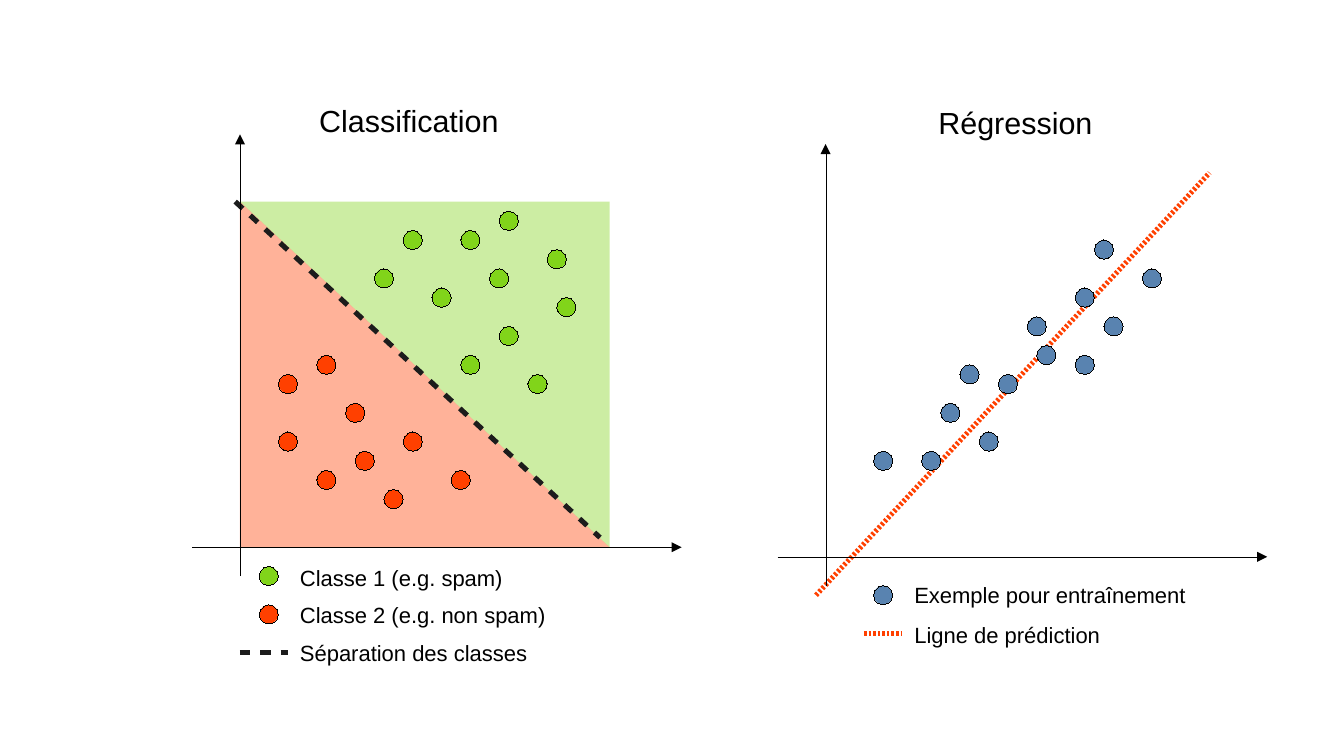
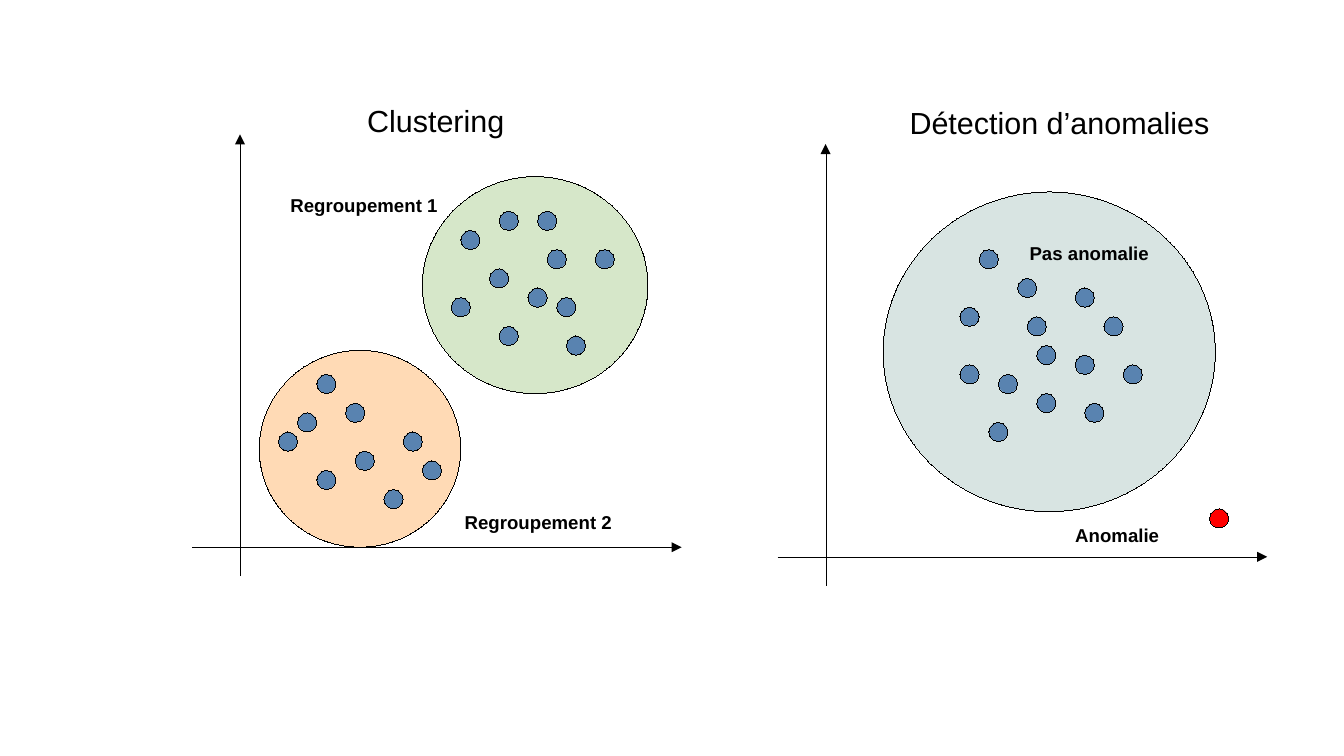
from dataclasses import dataclass
from lxml.etree import SubElement
from pptx import Presentation
from pptx.dml.color import RGBColor
from pptx.enum.shapes import MSO_CONNECTOR, MSO_SHAPE
from pptx.enum.text import MSO_AUTO_SIZE
from pptx.oxml.ns import qn
from pptx.util import Cm, Pt


@dataclass(frozen=True)
class Theme:
    font: str = "Arial"
    ink: str = "000000"
    dark: str = "1C1C1C"
    green: str = "81D41A"
    orange: str = "FF4000"
    blue: str = "5983B0"
    red: str = "FF0000"
    teal: str = "B3CAC7"
    peach: str = "FFB66C"
    sage: str = "AFD095"
    head: int = 18
    key: int = 13
    label: int = 11
    thin: int = 0
    thick: int = 3


theme = Theme()
DOT = 0.4
SHIFT = (12.2, 0.2)
DASH = (200, 200)
FINE = (50, 40)


def add_form(slide, kind, box, fill, alpha=100, edge=True, turn=0):
    form = slide.shapes.add_shape(kind, *map(Cm, box))
    form.shadow.inherit = False
    form.rotation = turn
    form.fill.solid()
    form.fill.fore_color.rgb = RGBColor.from_string(fill)
    if alpha < 100:
        color = form.fill._xPr.find(".//" + qn("a:srgbClr"))
        SubElement(color, qn("a:alpha"), val=str(alpha * 1000))
    if edge:
        form.line.color.rgb = RGBColor.from_string(theme.ink)
        form.line._get_or_add_ln().set("w", str(Pt(theme.thin)))
    else:
        form.line.fill.background()


def add_line(slide, ends, color, width, dash=None, arrow=False):
    line = slide.shapes.add_connector(MSO_CONNECTOR.STRAIGHT, *map(Cm, ends))
    line.line.color.rgb = RGBColor.from_string(color)
    pen = line.line._get_or_add_ln()
    pen.set("w", str(Pt(width)))
    if dash:
        cust = SubElement(pen, qn("a:custDash"))
        SubElement(cust, qn("a:ds"), d=str(dash[0] * 1000), sp=str(dash[1] * 1000))
    if arrow:
        SubElement(pen, qn("a:tailEnd"), type="triangle")
    SubElement(line._element.spPr, qn("a:effectLst"))


pages = [
    {
        "areas": [
            (MSO_SHAPE.RIGHT_TRIANGLE, (5, 4.2, 7.7, 7.2), theme.orange, 40, False, 0),
            (MSO_SHAPE.RIGHT_TRIANGLE, (5, 4.2, 7.7, 7.2), theme.green, 40, False, 180),
        ],
        "lines": [
            ((17, 12.4, 25.2, 3.6), theme.orange, FINE),
            ((18, 13.2, 18.8, 13.2), theme.orange, FINE),
            ((4.9, 4.2, 12.5, 11.2), theme.dark, DASH),
            ((5, 13.6, 6, 13.6), theme.dark, DASH),
        ],
        "dots": {
            theme.green: [
                (11, 7.8), (11.4, 5.2), (11.6, 6.2), (10.4, 4.4), (9, 6), (10.4, 6.8),
                (8.4, 4.8), (9.6, 4.8), (9.6, 7.4), (7.8, 5.6), (10.2, 5.6), (5.4, 11.8),
            ],
            theme.orange: [
                (7.2, 8.4), (8.4, 9), (5.8, 7.8), (9.4, 9.8), (6.6, 7.4),
                (6.6, 9.8), (8, 10.2), (5.8, 9), (7.4, 9.4), (5.4, 12.6),
            ],
            theme.blue: [
                (22.8, 5), (22.4, 6), (21.6, 7.2), (23, 6.6), (20.8, 7.8), (20, 7.6), (19.6, 8.4),
                (20.4, 9), (22.4, 7.4), (23.8, 5.6), (21.4, 6.6), (19.2, 9.4), (18.2, 9.4), (18.2, 12.2),
            ],
        },
        "texts": [
            ("Classification", 6.4, 2, 4.6, theme.head),
            ("Régression", 19.3, 2.05, 4.2, theme.head),
            ("Classe 1 (e.g. spam)", 6, 11.63, 5.6, theme.key),
            ("Classe 2 (e.g. non spam)", 6, 12.4, 6, theme.key),
            ("Séparation des classes", 6, 13.2, 5.6, theme.key),
            ("Exemple pour entraînement", 18.8, 12, 6.6, theme.key),
            ("Ligne de prédiction", 18.8, 12.83, 5.6, theme.key),
        ],
    },
    {
        "areas": [
            (MSO_SHAPE.OVAL, (18.4, 4, 6.92, 6.66), theme.teal, 50),
            (MSO_SHAPE.OVAL, (5.4, 7.3, 4.2, 4.1), theme.peach, 50),
            (MSO_SHAPE.OVAL, (8.8, 3.68, 4.7, 4.52), theme.sage, 50),
        ],
        "lines": [],
        "dots": {
            theme.blue: [
                (11.8, 7), (11.4, 5.2), (11.6, 6.2), (10.4, 4.4), (9.4, 6.2), (10.4, 6.8),
                (12.4, 5.2), (9.6, 4.8), (11, 6), (11.2, 4.4), (10.2, 5.6),
                (7.2, 8.4), (8.4, 9), (6.2, 8.6), (8.8, 9.6), (6.6, 7.8),
                (6.6, 9.8), (8, 10.2), (5.8, 9), (7.4, 9.4),
                (21.2, 5.8), (22.4, 6), (21.6, 7.2), (23, 6.6), (20.8, 7.8), (20, 7.6), (20.6, 8.8),
                (23.4, 7.6), (22.4, 7.4), (21.6, 8.2), (21.4, 6.6), (22.6, 8.4), (20, 6.4), (20.4, 5.2),
            ],
            theme.red: [(25.2, 10.6)],
        },
        "texts": [
            ("Clustering", 7.4, 2, 3.8, theme.head),
            ("Détection d’anomalies", 18.7, 2.05, 7.2, theme.head),
            ("Regroupement 1", 5.8, 3.91, 4, theme.label),
            ("Regroupement 2", 9.43, 10.52, 4, theme.label),
            ("Pas anomalie", 21.2, 4.92, 3.4, theme.label),
            ("Anomalie", 22.15, 10.8, 2.6, theme.label),
        ],
    },
]
tall = {theme.head: 0.97, theme.key: 0.76, theme.label: 0.68}

deck = Presentation()
deck.slide_width, deck.slide_height = Cm(28), Cm(15.75)

for page in pages:
    slide = deck.slides.add_slide(deck.slide_layouts[6])
    for area in page["areas"]:
        add_form(slide, *area)
    for ends, color, dash in page["lines"]:
        add_line(slide, ends, color, theme.thick, dash)
    for side in range(2):
        dx, dy = (side * step for step in SHIFT)
        for x1, y1, x2, y2 in ((4, 11.4, 14.2, 11.4), (5, 12, 5, 2.8)):
            add_line(slide, (x1 + dx, y1 + dy, x2 + dx, y2 + dy), theme.ink, theme.thin, arrow=True)
    for color, spots in page["dots"].items():
        for x, y in spots:
            add_form(slide, MSO_SHAPE.OVAL, (x, y, DOT, DOT), color)
    for words, x, y, wide, size in page["texts"]:
        frame = slide.shapes.add_textbox(Cm(x), Cm(y), Cm(wide), Cm(tall[size])).text_frame
        frame.word_wrap = True
        frame.auto_size = MSO_AUTO_SIZE.SHAPE_TO_FIT_TEXT
        run = frame.paragraphs[0].add_run()
        run.text = words
        run.font.name = theme.font
        run.font.size = Pt(size)
        run.font.bold = size == theme.label
        run.font.color.rgb = RGBColor.from_string(theme.ink)

deck.save("out.pptx")
